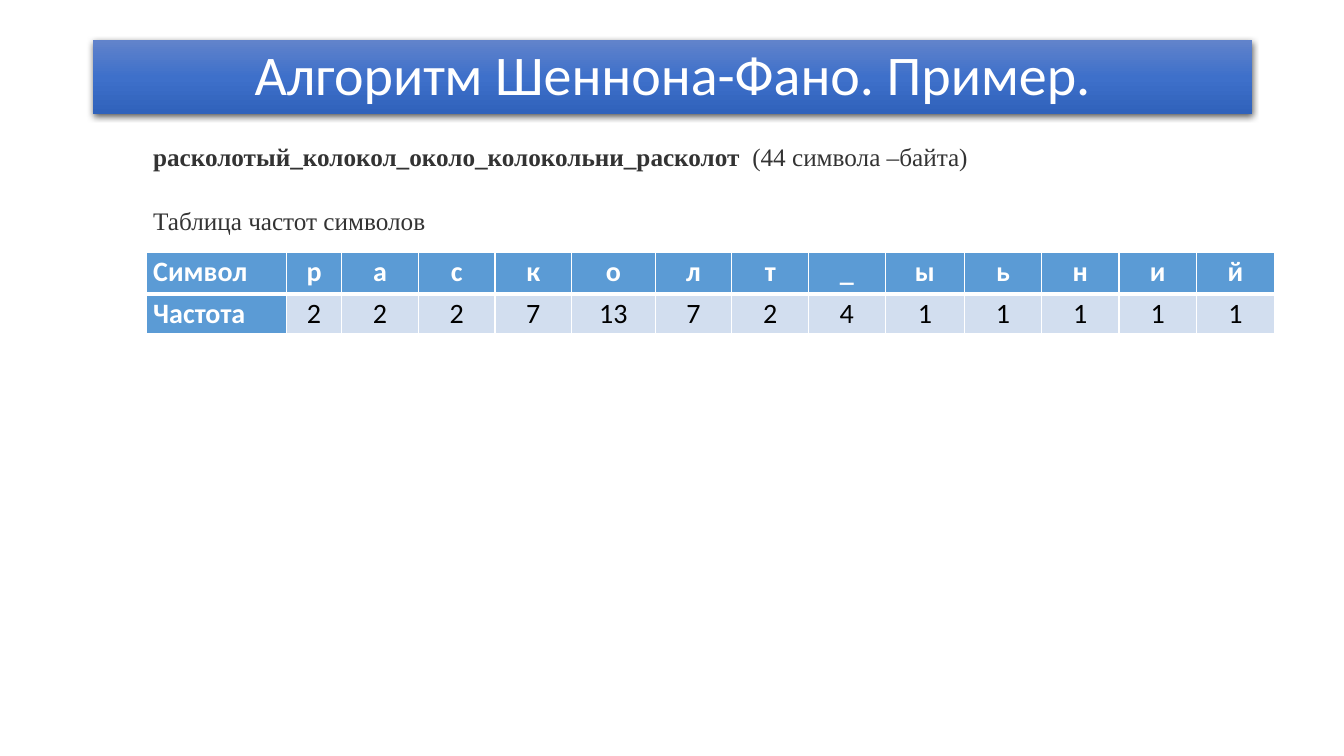
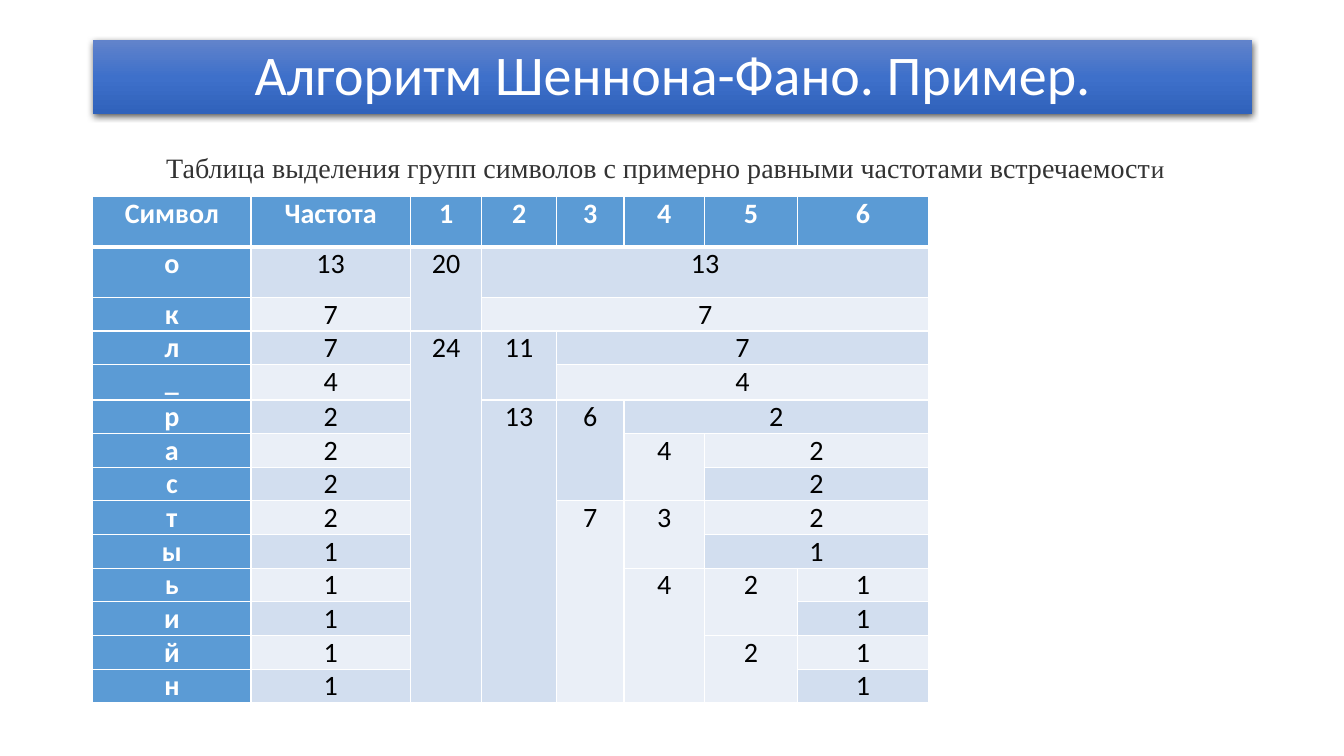
from lxml import etree
from pptx import Presentation
from pptx import util as u
from pptx.dml.color import RGBColor
from pptx.enum import text
from pptx.oxml import ns

PX = 9144
WHITE = RGBColor(0xFF, 0xFF, 0xFF)
BLACK = RGBColor(0x00, 0x00, 0x00)
INK = RGBColor(0x33, 0x33, 0x33)
BLUE = RGBColor(0x5B, 0x9B, 0xD5)
PALE = RGBColor(0xEA, 0xEF, 0xF7)
TINT = RGBColor(0xD2, 0xDE, 0xEF)
STOPS = {0: RGBColor(0x61, 0x83, 0xCB), 50: RGBColor(0x3E, 0x70, 0xCA),
         100: RGBColor(0x30, 0x62, 0xBB)}
SANS, SERIF = "Calibri", "Times New Roman"
MID, JUST = text.PP_ALIGN.CENTER, text.PP_ALIGN.JUSTIFY
TITLE = "Алгоритм Шеннона-Фано. Пример."

COUNTS = ["Символ р а с к о л т _ ы ь н и й",
          "Частота 2 2 2 7 13 7 2 4 1 1 1 1 1"]
GROUPS = ["Символ Частота 1 2 3 4 5 6",
          "о 13 20 13",
          "к 7 . 7",
          "л 7 24 11 7",
          "_ 4 . . 4",
          "р 2 . 13 6 2",
          "а 2 . . . 4 2",
          "с 2 . . . . 2",
          "т 2 . . 7 3 2",
          "ы 1 . . . . 1",
          "ь 1 . . . 4 2 1",
          "и 1 . . . . . 1",
          "й 1 . . . . 2 1",
          "н 1 . . . . . 1"]


def put(obj, **vals):
    """Set attributes of an object from format values."""
    for name, val in vals.items():
        setattr(obj, name, val)


def place(shape, box):
    """Move and size a shape by px."""
    put(shape, **{k: v * PX for k, v in zip(("left", "top", "width", "height"), box)})


def node(up, tag, **vals):
    """Add an XML child with attributes."""
    return etree.SubElement(up, ns.qn(tag), {k: str(v) for k, v in vals.items()})


def write(par, words, size, face, tone, bold=False):
    """Add a formatted run to a paragraph."""
    run = par.add_run()
    run.text = words
    put(run.font, size=u.Pt(size), name=face, bold=bold)
    run.font.color.rgb = tone


def head(deck):
    """Add a slide with the title band."""
    slide = deck.slides.add_slide(deck.slide_layouts[5])
    band = slide.shapes.title
    place(band, (92, 40, 1150, 73))
    put(band.text_frame, word_wrap=True, vertical_anchor=text.MSO_ANCHOR.MIDDLE,
        auto_size=text.MSO_AUTO_SIZE.NONE)
    par = band.text_frame.paragraphs[0]
    put(par, alignment=MID, line_spacing=0.9)
    write(par, TITLE, 40, SANS, WHITE)
    props = band.element.spPr
    grad = node(props, "a:gradFill", rotWithShape=1)
    stops = node(grad, "a:gsLst")
    for pos, tone in STOPS.items():
        node(node(stops, "a:gs", pos=pos * 1000), "a:srgbClr", val=tone)
    node(grad, "a:lin", ang=5400000, scaled=0)
    shade = node(node(props, "a:effectLst"), "a:outerShdw", blurRad=u.Pt(4.5),
                 dist=u.Pt(1.5), dir=5400000, algn="ctr", rotWithShape=0)
    node(node(shade, "a:srgbClr", val=BLACK), "a:alpha", val=63000)
    return slide


def note(slide, box, lines, gap=0):
    """Add indented text; each line is a list of (words, size, bold)."""
    shape = slide.shapes.add_textbox(0, 0, 0, 0)
    place(shape, box)
    frame = shape.text_frame
    put(frame, word_wrap=True, auto_size=text.MSO_AUTO_SIZE.SHAPE_TO_FIT_TEXT)
    for i, line in enumerate(lines):
        par = frame.add_paragraph() if i else frame.paragraphs[0]
        put(par, alignment=JUST, line_spacing=1.07, space_before=u.Pt(gap if i else 0))
        par._p.get_or_add_pPr().set("indent", str(50 * PX))
        for words, size, bold in line:
            write(par, words, size, SERIF, INK, bold)


def edge(cell, row):
    """Draw white cell borders, thick under the header row."""
    props = cell._tc.get_or_add_tcPr()
    wide = {"T": row == 1, "B": row == 0}
    for i, side in enumerate("LRTB"):
        line = node(props, "a:ln" + side, w=u.Pt(3 if wide.get(side) else 1))
        node(node(line, "a:solidFill"), "a:srgbClr", val=WHITE)
        props.insert(i, line)


def style(cell, row, col, words, align, lead):
    """Format one table cell and write its words."""
    main = row == 0 or col == 0
    put(cell, margin_left=7 * PX, margin_right=7 * PX, margin_top=0, margin_bottom=0)
    cell.fill.solid()
    cell.fill.fore_color.rgb = BLUE if main else TINT if row % 2 else PALE
    edge(cell, row)
    par = cell.text_frame.paragraphs[0]
    put(par, alignment=align, line_spacing=lead)
    if words != ".":
        write(par, words, 20, SANS, WHITE if main else BLACK, main)


def grid(slide, spot, rows, wide, high, first=MID, lead=1.0):
    """Add a table; a row's last value spans right, others span down over dots."""
    data = [row.split() for row in rows]
    last = len(wide) - 1
    table = slide.shapes.add_table(len(data), last + 1, spot[0] * PX, spot[1] * PX,
                                   sum(wide) * PX, sum(high) * PX).table
    for col, px in zip(table.columns, wide):
        col.width = px * PX
    for row, px in zip(table.rows, high):
        row.height = px * PX
    for r, row in enumerate(data):
        for c in range(last + 1):
            words = row[c] if c < len(row) else "."
            style(table.cell(r, c), r, c, words, MID if c else first, lead)
    for r, row in enumerate(data):
        for c, words in enumerate(row):
            end, right = r, c
            if c == len(row) - 1:
                right = last
            else:
                while end + 1 < len(data) and data[end + 1][c:c + 1] == ["."]:
                    end += 1
            if words != "." and (end, right) != (r, c):
                table.cell(r, c).merge(table.cell(end, right))


def main():
    """Build and save the deck."""
    deck = Presentation()
    put(deck, slide_width=u.Inches(13.33), slide_height=u.Inches(7.5))

    slide = head(deck)
    note(slide, (92, 133, 908, 107),
         [[("расколотый_колокол_около_колокольни_расколот  ", 18, True),
           ("(44 символа –байта)", 18, False)],
          [("Таблица частот символов", 18, False)]], gap=23)
    grid(slide, (145, 250), COUNTS,
         [139, 55, 76, 76, 76, 83, 76, 76, 76, 79, 76, 77, 77, 77], [42, 39],
         first=JUST, lead=1.07)

    slide = head(deck)
    note(slide, (105, 142, 1117, 46),
         [[("Таблица выделения групп символов с примерно равными "
            "частотами встречаемост", 20, False), ("и", 18, False)]])
    grid(slide, (92, 195), GROUPS, [157, 158, 71, 74, 67, 80, 92, 130],
         [50, 50, 33, 33, 35] + [33] * 9)
    deck.save("out.pptx")


if __name__ == "__main__":
    main()
